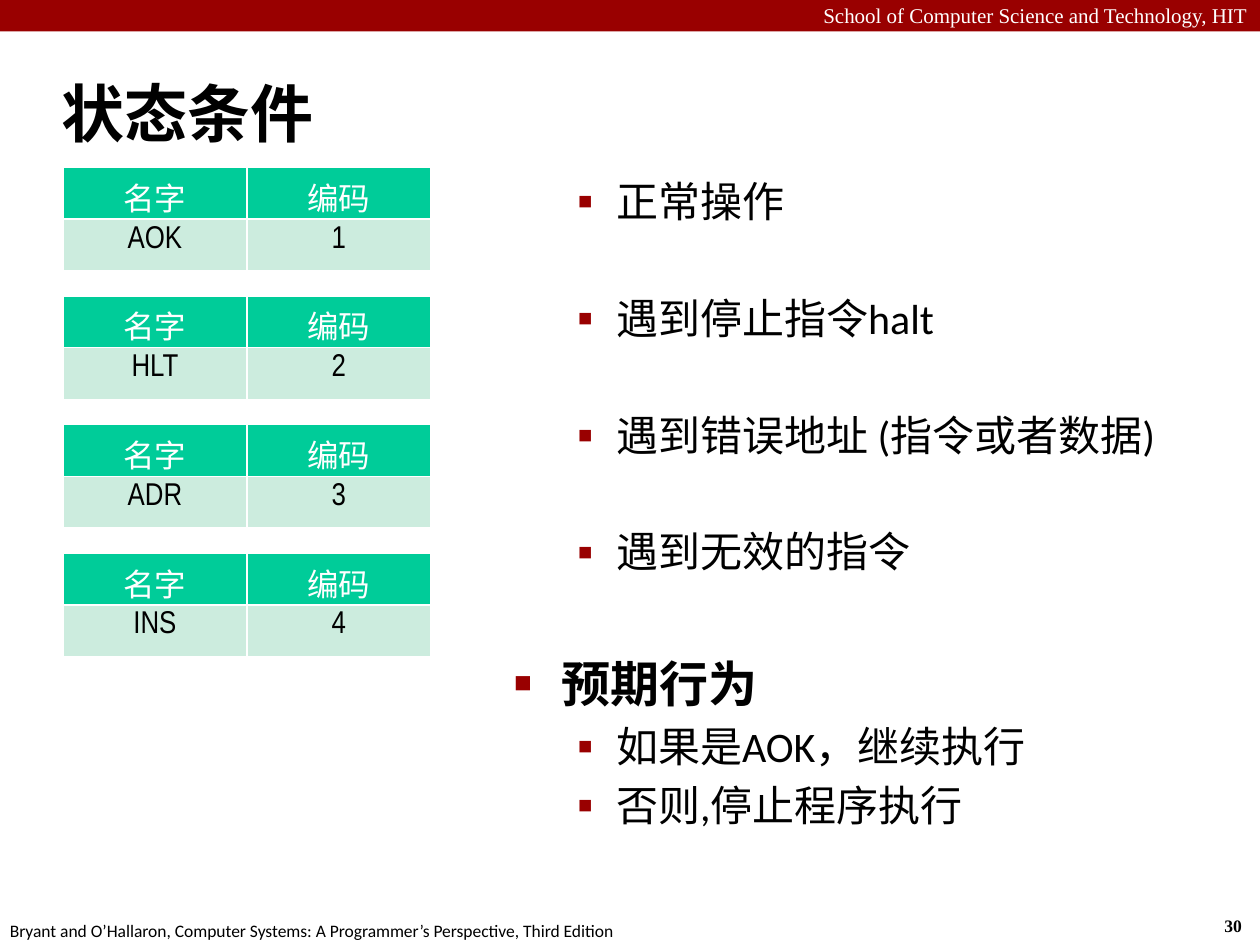
"""Build a slide on processor status conditions with code tables and a bullet list."""
from lxml import etree
from pptx import Presentation
from pptx.dml.color import RGBColor
from pptx.enum.shapes import MSO_SHAPE
from pptx.enum.text import MSO_ANCHOR, MSO_AUTO_SIZE, PP_ALIGN
from pptx.oxml.ns import qn
from pptx.util import Inches, Pt

RECTANGLE = MSO_SHAPE.RECTANGLE
LEFT, CENTER, RIGHT = PP_ALIGN.LEFT, PP_ALIGN.CENTER, PP_ALIGN.RIGHT
TOP, MIDDLE = MSO_ANCHOR.TOP, MSO_ANCHOR.MIDDLE
NO_FIT = MSO_AUTO_SIZE.NONE

RED, GREEN, PALE = "990000", "00CC99", "CCECDE"
WHITE, BLACK = "FFFFFF", "000000"
SANS, NARROW, SERIF = "Calibri", "Arial Narrow", "Times New Roman"

STATUS_CODES = [("AOK", "1"), ("HLT", "2"), ("ADR", "3"), ("INS", "4")]
CONDITIONS = [
    ("正常操作", 1, 0),
    ("遇到停止指令halt", 1, 38),
    ("遇到错误地址 (指令或者数据)", 1, 38),
    ("遇到无效的指令", 1, 38),
    ("预期行为", 0, 44),
    ("如果是AOK，继续执行", 1, 4.8),
    ("否则,停止程序执行", 1, 4.8),
]
LEVELS = [
    {"margin": 0.38, "hanging": 0.38, "bullet": "■", "scale": 60, "size": 28, "bold": True},
    {"margin": 0.81, "hanging": 0.31, "bullet": "▪", "scale": 110, "size": 24, "bold": False},
]


def color(value):
    return RGBColor.from_string(value)


class SlideBuilder:
    """Holds the slide and its style, and adds each kind of element."""

    def __init__(self, slide):
        self.slide = slide

    def style(self, paragraph, size, font=SANS, ink=BLACK, bold=False, align=LEFT):
        paragraph.alignment = align
        paragraph.font.size = Pt(size)
        paragraph.font.name = font
        paragraph.font.bold = bold
        paragraph.font.color.rgb = color(ink)

    def place(self, shape, left, top, width, height):
        shape.left, shape.top = Inches(left), Inches(top)
        shape.width, shape.height = Inches(width), Inches(height)

    def indent(self, paragraph, margin, hanging):
        properties = paragraph._p.get_or_add_pPr()
        properties.set("marL", str(Inches(margin)))
        properties.set("indent", str(-Inches(hanging)))
        return properties

    def band(self, left, top, width, height, fill):
        bar = self.slide.shapes.add_shape(
            RECTANGLE, Inches(left), Inches(top), Inches(width), Inches(height))
        bar.shadow.inherit = False
        bar.fill.solid()
        bar.fill.fore_color.rgb = color(fill)
        bar.line.fill.background()

    def label(self, text, left, top, width, height, wrap=False, **style):
        frame = self.slide.shapes.add_textbox(
            Inches(left), Inches(top), Inches(width), Inches(height)).text_frame
        frame.word_wrap = wrap
        frame.text = text
        self.style(frame.paragraphs[0], **style)

    def title(self, text, *box):
        heading = self.slide.shapes.title
        self.place(heading, *box)
        frame = heading.text_frame
        frame.text = text
        frame.auto_size = NO_FIT
        frame.vertical_anchor = MIDDLE
        self.indent(frame.paragraphs[0], 0.13, 0.13)
        self.style(frame.paragraphs[0], 36, bold=True)

    def bullets(self, items, *box):
        body = self.slide.placeholders[1]
        self.place(body, *box)
        frame = body.text_frame
        frame.text = "\n".join(text for text, _, _ in items)
        frame.auto_size = NO_FIT
        frame.vertical_anchor = TOP
        for paragraph, (_, depth, before) in zip(frame.paragraphs, items):
            level = LEVELS[depth]
            paragraph.level = depth
            properties = self.indent(paragraph, level["margin"], level["hanging"])
            tint = etree.SubElement(properties, qn("a:buClr"))
            etree.SubElement(tint, qn("a:srgbClr"), val=RED)
            etree.SubElement(properties, qn("a:buSzPct"), val=str(level["scale"] * 1000))
            etree.SubElement(properties, qn("a:buChar"), char=level["bullet"])
            paragraph.space_before = Pt(before)
            self.style(paragraph, level["size"], bold=level["bold"])

    def code_table(self, rows, left, top, column_width, row_height):
        table = self.slide.shapes.add_table(
            len(rows), len(rows[0]), Inches(left), Inches(top),
            Inches(column_width * len(rows[0])), Inches(row_height * len(rows))).table
        for row_index, row in enumerate(rows):
            fill, ink = (PALE, BLACK) if row_index else (GREEN, WHITE)
            for column_index, text in enumerate(row):
                cell = table.cell(row_index, column_index)
                cell.text = text
                cell.fill.solid()
                cell.fill.fore_color.rgb = color(fill)
                self.style(cell.text_frame.paragraphs[0], 18, NARROW, ink, align=CENTER)


def main():
    deck = Presentation()
    deck.slide_width, deck.slide_height = Inches(10), Inches(7.5)
    builder = SlideBuilder(deck.slides.add_slide(deck.slide_layouts[1]))

    builder.band(0, 0, 10, 0.25, RED)
    builder.label("School of Computer Science and Technology, HIT", 0, -0.03, 10, 0.3,
                  wrap=True, size=12, font=SERIF, ink=WHITE, align=RIGHT)
    builder.label("30", 9.62, 7.21, 0.37, 0.27, size=10, font=SERIF, bold=True)
    builder.label("Bryant and O’Hallaron, Computer Systems: "
                  "A Programmer’s Perspective, Third Edition",
                  -0.02, 7.25, 5.08, 0.27, size=10)

    builder.title("状态条件", 0.39, 0.48, 9.61, 0.83)
    for index, status in enumerate(STATUS_CODES):
        builder.code_table([("名字", "编码"), status], 0.5, 1.33 + 1.02 * index, 1.46, 0.41)
    builder.bullets(CONDITIONS, 3.98, 1.34, 5.43, 5.71)

    deck.save("out.pptx")


if __name__ == "__main__":
    main()
